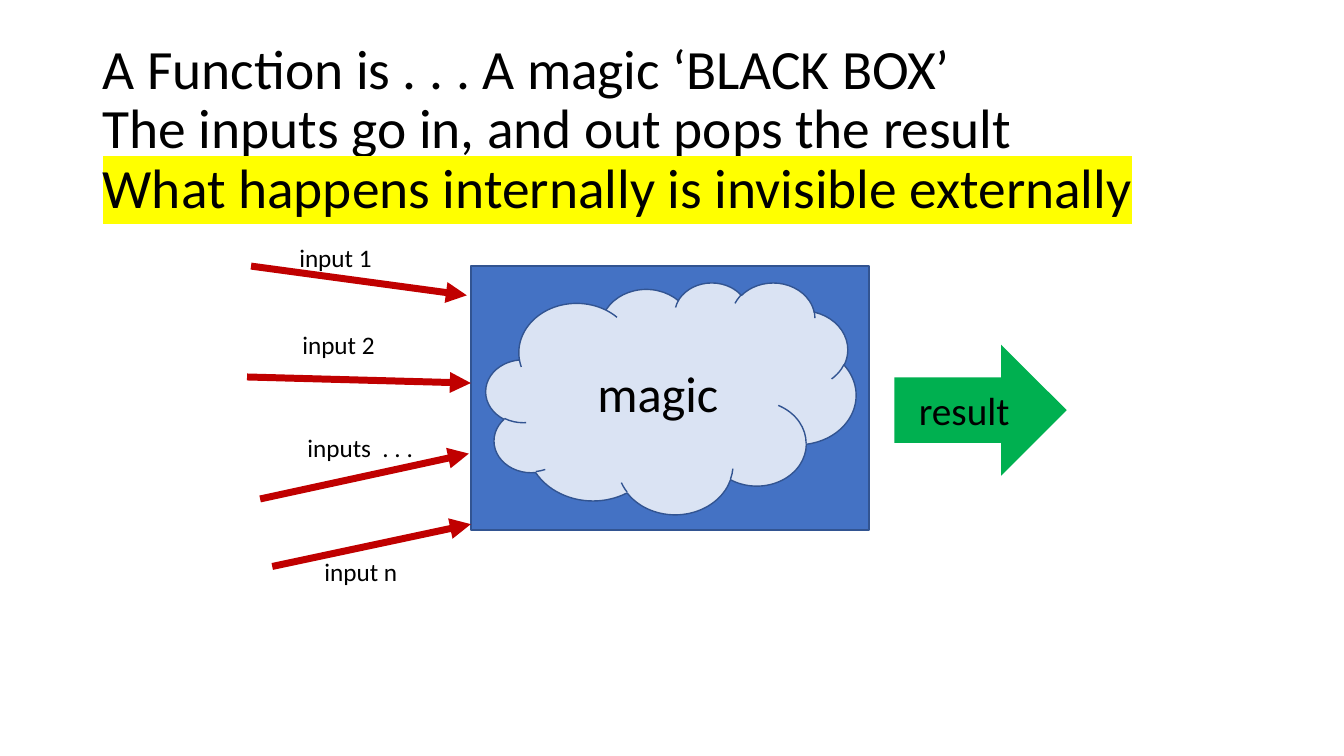
from dataclasses import dataclass

from lxml.etree import SubElement
from pptx import Presentation
from pptx.dml.color import RGBColor
from pptx.enum.shapes import MSO_CONNECTOR, MSO_SHAPE
from pptx.enum.text import MSO_ANCHOR, MSO_AUTO_SIZE, PP_ALIGN
from pptx.oxml.ns import qn
from pptx.util import Inches, Pt


@dataclass(frozen=True)
class Theme:
    font: str = "Calibri"
    ink: str = "000000"
    mark: str = "FFFF00"
    box: str = "4472C4"
    edge: str = "325491"
    cloud: str = "DAE3F3"
    input: str = "C00000"
    result: str = "00B050"
    title_size: float = 39.6
    magic_size: float = 36
    result_size: float = 28
    label_size: float = 18


THEME = Theme()

TITLE = [
    "A Function is . . . A magic ‘BLACK BOX’",
    "The inputs go in, and out pops the result",
]
PUNCHLINE = "What happens internally is invisible externally"

# label, label left and top, label width, arrow start, arrow end
INPUTS = [
    ("input 1", (2.87, 2.35), 0.93, (2.49, 2.64), (4.63, 2.93)),
    ("input 2", (2.9, 3.22), 0.93, (2.45, 3.74), (4.67, 3.8)),
    ("inputs  . . .", (2.95, 4.24), 1.32, (2.58, 4.95), (4.65, 4.5)),
    ("input n", (3.12, 5.47), 0.93, (2.7, 5.62), (4.67, 5.2)),
]


def style(item, values):
    for name, value in values.items():
        setattr(item, name, value)


def add_run(para, text, size):
    run = para.add_run()
    run.text = text
    style(run.font, {"size": Pt(size), "name": THEME.font})
    run.font.color.rgb = RGBColor.from_string(THEME.ink)
    return run


def highlight(run, color):
    props = run.font._element
    mark = SubElement(props, qn("a:highlight"))
    SubElement(mark, qn("a:srgbClr"), val=color)
    props.find(qn("a:solidFill")).addnext(mark)


def add_title(slide):
    box = slide.shapes.add_textbox(*map(Inches, (0.92, 0.4, 11.5, 1.8)))
    frame = box.text_frame
    style(frame, {"word_wrap": True, "vertical_anchor": MSO_ANCHOR.MIDDLE})
    para = frame.paragraphs[0]
    para.line_spacing = 0.9
    for line in TITLE:
        add_run(para, line, THEME.title_size)
        para.add_line_break()
    highlight(add_run(para, PUNCHLINE, THEME.title_size), THEME.mark)


def add_block(slide, kind, place, fill, edge=None, text="", size=None):
    """Add a filled preset shape with optional outline and centred text."""
    block = slide.shapes.add_shape(kind, *map(Inches, place))
    block.shadow.inherit = False
    block.fill.solid()
    block.fill.fore_color.rgb = RGBColor.from_string(fill)
    if edge:
        block.line.color.rgb = RGBColor.from_string(edge)
        block.line.width = Pt(1)
    else:
        block.line.fill.background()
    if text:
        frame = block.text_frame
        style(frame, {"word_wrap": True, "vertical_anchor": MSO_ANCHOR.MIDDLE})
        para = frame.paragraphs[0]
        para.alignment = PP_ALIGN.CENTER
        add_run(para, text, size)


def add_arrow(slide, start, end):
    arrow = slide.shapes.add_connector(
        MSO_CONNECTOR.STRAIGHT, *map(Inches, start + end))
    arrow.line.color.rgb = RGBColor.from_string(THEME.input)
    arrow.line.width = Pt(5)
    props = arrow._element.spPr
    SubElement(props.find(qn("a:ln")), qn("a:tailEnd"), type="triangle")
    SubElement(props, qn("a:effectLst"))


def add_label(slide, text, corner, width):
    box = slide.shapes.add_textbox(*map(Inches, corner + (width, 0.4)))
    frame = box.text_frame
    style(frame, {"word_wrap": False,
                  "auto_size": MSO_AUTO_SIZE.SHAPE_TO_FIT_TEXT})
    add_run(frame.paragraphs[0], text, THEME.label_size)


def main():
    deck = Presentation()
    style(deck, {"slide_width": Inches(13.33), "slide_height": Inches(7.5)})
    slide = deck.slides.add_slide(deck.slide_layouts[6])

    add_title(slide)
    add_block(slide, MSO_SHAPE.RECTANGLE, (4.67, 2.64, 3.95, 2.62),
              THEME.box, THEME.edge)
    add_block(slide, MSO_SHAPE.CLOUD, (4.82, 2.8, 3.67, 2.3),
              THEME.cloud, THEME.edge, "magic", THEME.magic_size)
    for text, corner, width, start, end in INPUTS:
        add_arrow(slide, start, end)
        add_label(slide, text, corner, width)
    add_block(slide, MSO_SHAPE.RIGHT_ARROW, (8.87, 3.42, 1.71, 1.3),
              THEME.result, text="result", size=THEME.result_size)

    deck.save("out.pptx")


if __name__ == "__main__":
    main()
